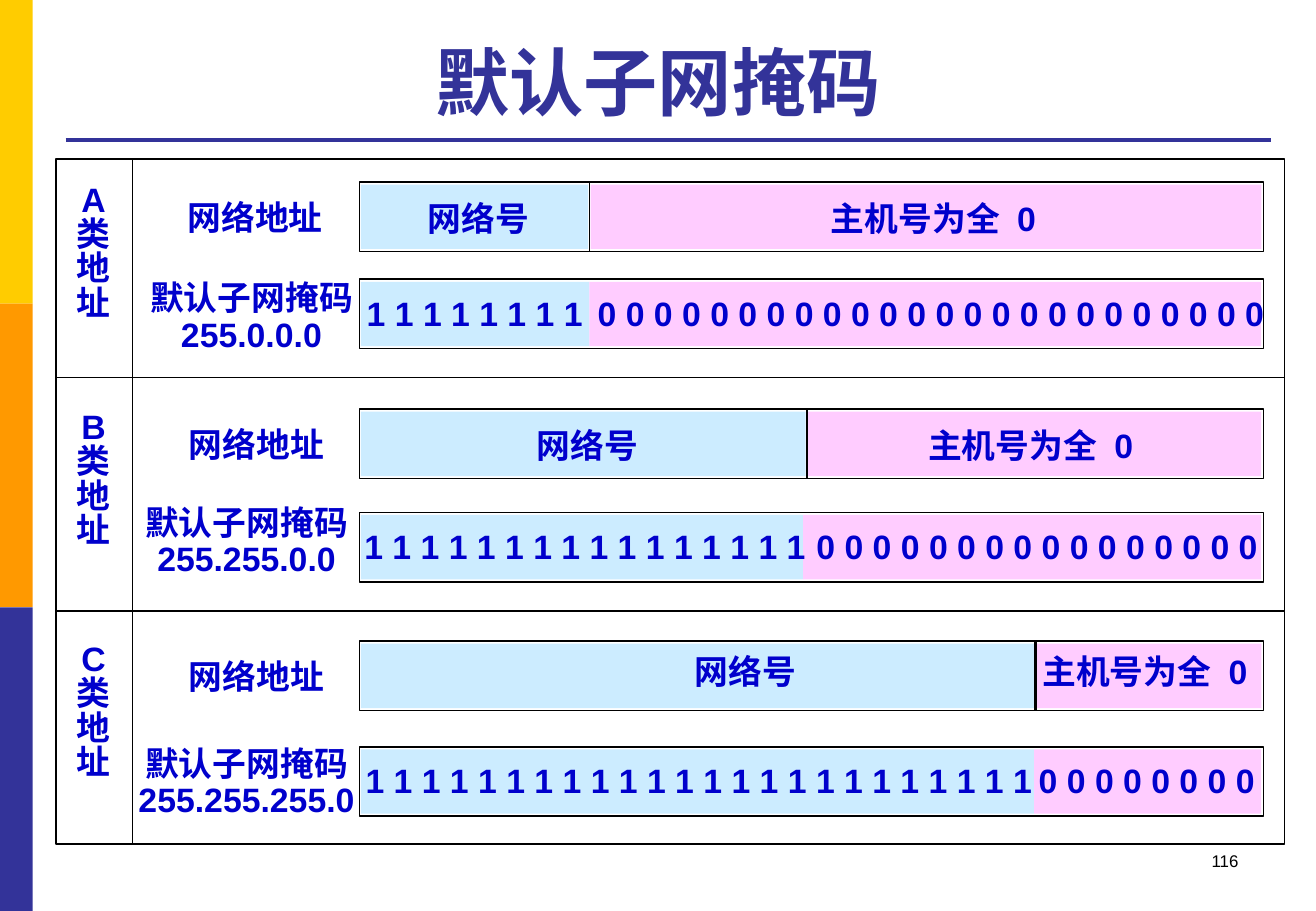
"""Build the slide on the default subnet masks of class A, B and C addresses."""
from dataclasses import dataclass

from lxml.etree import SubElement
from pptx import Presentation
from pptx.dml.color import RGBColor
from pptx.enum.shapes import MSO_CONNECTOR as LINE, MSO_SHAPE as SHAPE
from pptx.enum.text import MSO_ANCHOR as ANCHOR, PP_ALIGN as ALIGN
from pptx.oxml.ns import qn
from pptx.util import Emu, Pt

PX = 9144
BAR_LEFT, BAR_WIDTH, BAR_HEIGHT = 296, 744, 57
FILL_LEFT, FILL_RIGHT, FILL_HEIGHT = 297, 1038, 53
FRAME_LEFT, FRAME_TOP, FRAME_WIDTH, FRAME_HEIGHT = 46, 131, 1011, 564


@dataclass(frozen=True)
class Theme:
    font: str = "Arial"
    title: str = "333399"
    text: str = "0000CC"
    ink: str = "000000"
    network: str = "CCECFF"
    host: str = "FFCCFF"
    stripes: tuple[str, ...] = ("FFCC00", "FF9900", "333399")
    title_size: int = 44
    body_size: int = 20
    number_size: int = 10
    word_gap: int = 556


@dataclass(frozen=True)
class AddressClass:
    letter: str
    mask: str
    octets: int
    address_top: int
    mask_top: int
    split: int
    mask_split: int
    text_top: int
    name_left: int
    network_left: int
    host_left: int
    mask_label: tuple[int, int]
    ones_left: int
    zeros_left: int
    divider_weight: float = 1


THEME = Theme()
CLASSES = (
    AddressClass("A", "255.0.0.0", 1, 150, 230, 485, 485, 158, 144,
                 342, 674, (97, 227), 292, 482),
    AddressClass("B", "255.255.0.0", 2, 337, 422, 664, 661, 345, 145,
                 432, 754, (93, 412), 290, 662),
    AddressClass("C", "255.255.255.0", 3, 528, 615, 852, 851, 531, 145,
                 562, 848, (93, 610), 291, 845, 1.5),
)


def px(n: int) -> Emu:
    """Turn px into EMU."""
    return Emu(n * PX)


def rect(s, x: int, y: int, w: int, h: int, fill: str = "", weight: float = 0) -> None:
    """Draw a rectangle with a fill, an outline or both."""
    sp = s.shapes.add_shape(SHAPE.RECTANGLE, px(x), px(y), px(w), px(h))
    sp.shadow.inherit = False
    if fill:
        sp.fill.solid()
        sp.fill.fore_color.rgb = RGBColor.from_string(fill)
    else:
        sp.fill.background()
    if weight:
        sp.line.color.rgb = RGBColor.from_string(THEME.ink)
        sp.line.width = Pt(weight)
    else:
        sp.line.fill.background()


def line(s, x1: int, y1: int, x2: int, y2: int, weight: float, color: str = THEME.ink) -> None:
    """Draw a straight line."""
    c = s.shapes.add_connector(LINE.STRAIGHT, px(x1), px(y1), px(x2), px(y2))
    c.line.color.rgb = RGBColor.from_string(color)
    c.line.width = Pt(weight)
    SubElement(c._element.spPr, qn("a:effectLst"))


def text(s, x: int, y: int, w: int, h: int, paragraphs: list[tuple[str, ...]],
         align: ALIGN = ALIGN.LEFT, spacing: float = 1, size: int = THEME.body_size,
         color: str = THEME.text, bold: bool = True, wrap: bool = False,
         anchor: ANCHOR = ANCHOR.TOP) -> None:
    """Write paragraphs, each given as its runs, in a text box."""
    tf = s.shapes.add_textbox(px(x), px(y), px(w), px(h)).text_frame
    tf.word_wrap = wrap
    tf.vertical_anchor = anchor
    for i, runs in enumerate(paragraphs):
        p = tf.add_paragraph() if i else tf.paragraphs[0]
        p.alignment = align
        p.line_spacing = spacing
        for content in runs:
            r = p.add_run()
            r.text = content
            r.font.name = THEME.font
            r.font.size = Pt(size)
            r.font.bold = bold
            r.font.color.rgb = RGBColor.from_string(color)
            if content == " ":
                r.font._element.set("spc", str(THEME.word_gap))


def bar(s, top: int, split: int, gap: int) -> None:
    """Draw a bar with its network part and its host part."""
    y = top + 2
    rect(s, FILL_LEFT, y, split - gap - FILL_LEFT, FILL_HEIGHT, THEME.network)
    rect(s, split + gap, y, FILL_RIGHT - split - gap, FILL_HEIGHT, THEME.host)
    rect(s, BAR_LEFT, top, BAR_WIDTH, BAR_HEIGHT, weight=1)


def address_class(s, a: AddressClass) -> None:
    """Draw the name, network address and mask of one class."""
    bar(s, a.address_top, a.split, 1)
    line(s, a.split, a.address_top, a.split, a.address_top + BAR_HEIGHT, a.divider_weight)
    bar(s, a.mask_top, a.mask_split, 0)
    text(s, 49, a.address_top - 3, 56, 125, [(c,) for c in a.letter + "类地址"],
         ALIGN.CENTER, 0.85)
    text(s, a.name_left - 5, a.address_top + 7, 142, 43, [("网络地址",)], ALIGN.CENTER)
    text(s, a.network_left, a.text_top, 114, 43, [("网络号",)])
    text(s, a.host_left, a.text_top, 220, 43, [("主机号为全", " ", "0")])
    x, y = a.mask_label
    text(s, x, y, 220, 70, [("默认子网掩码",), (a.mask,)], ALIGN.CENTER, 0.9)
    for bit, octets, left in (("1", a.octets, a.ones_left), ("0", 4 - a.octets, a.zeros_left)):
        text(s, left, a.mask_top + 6, 186 * octets + 20, 43, [(" ".join(bit * 8 * octets),)])


def main() -> None:
    """Build and save the slide."""
    prs = Presentation()
    prs.slide_width, prs.slide_height = px(1083), px(750)
    s = prs.slides.add_slide(prs.slide_layouts[6])
    for i, color in enumerate(THEME.stripes):
        rect(s, 0, 250 * i, 27, 250, color)
    line(s, 54, 115, 1046, 115, 2.25, THEME.title)
    text(s, 46, 21, 991, 87, [("默认子网掩码",)], ALIGN.CENTER, size=THEME.title_size,
         color=THEME.title, wrap=True, anchor=ANCHOR.BOTTOM)
    rect(s, FRAME_LEFT, FRAME_TOP, FRAME_WIDTH, FRAME_HEIGHT, weight=0.75)
    for y in (311, 503):
        line(s, FRAME_LEFT, y, FRAME_LEFT + FRAME_WIDTH, y, 0.75)
    line(s, 109, FRAME_TOP, 109, FRAME_TOP + FRAME_HEIGHT, 0.75)
    for a in CLASSES:
        address_class(s, a)
    text(s, 776, 695, 253, 50, [("116",)], ALIGN.RIGHT, size=THEME.number_size,
         color=THEME.ink, bold=False, wrap=True)
    prs.save("out.pptx")


if __name__ == "__main__":
    main()
